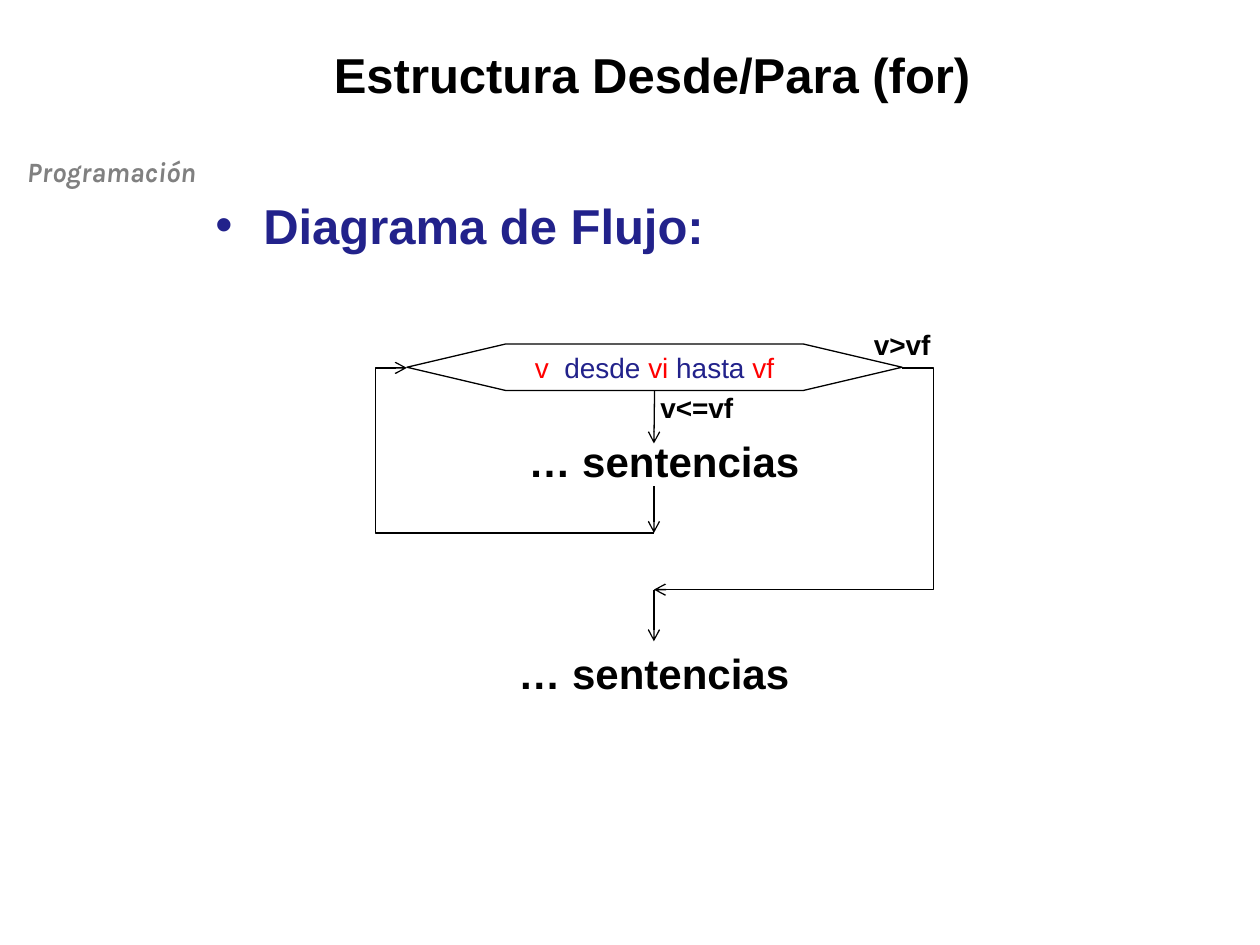
import pptx
import pptx.util
import pptx.dml.color
import pptx.enum.shapes
import pptx.enum.text
import pptx.oxml
import pptx.oxml.ns

Inches, Pt = pptx.util.Inches, pptx.util.Pt
Color = pptx.dml.color.RGBColor
Align = pptx.enum.text.PP_ALIGN
Anchor = pptx.enum.text.MSO_ANCHOR
Link = pptx.enum.shapes.MSO_CONNECTOR

BLACK = Color(0, 0, 0)
GRAY = Color(0x80, 0x80, 0x80)
NAVY = Color(0x22, 0x22, 0x8B)
RED = Color(0xFF, 0, 0)

# Flow chart lines: the axis, and the heights where the steps meet
AXIS = 5.19
LEFT, RIGHT = 3.23, 7.16
TOP, MID, BASE = 2.73, 2.92, 3.1
BACK, EXIT = 4.23, 4.68
SIDE = 0.25  # how far each loop reaches past the hexagon

TITLE = "Estructura Desde/Para (for)"
HEAD = "Diagrama de Flujo:"
TEST = [("v", RED), ("  desde ", NAVY), ("vi", RED), (" hasta ", NAVY), ("vf", RED)]
STEP = "… sentencias"
# text, left, top, width, height, format
NOTES = [
    ("Programación", 0, 1.18, 1.77, 0.37,
     dict(size=16, font="Karla", color=GRAY, italic=True)),
    (STEP, 4.09, 3.41, 2.36, 0.5, dict(size=24)),
    ("v<=vf", 5.04, 3.05, 0.98, 0.37, dict(size=16)),
    ("v>vf", 6.67, 2.55, 0.98, 0.37, dict(size=16)),
]


def write(shape, text, size=16, font="Arial", color=BLACK, bold=True,
          italic=False, align=Align.CENTER, anchor=Anchor.TOP):
    """Fill a shape with text, given as a string or as (text, color) pairs."""
    frame = shape.text_frame
    frame.word_wrap = True
    frame.auto_size = pptx.enum.text.MSO_AUTO_SIZE.NONE
    frame.vertical_anchor = anchor
    para = frame.paragraphs[0]
    para.alignment = align
    para.space_before = Pt(0)
    for part, tint in [(text, color)] if isinstance(text, str) else text:
        run = para.add_run()
        run.text = part
        run.font.name, run.font.size = font, Pt(size)
        run.font.bold, run.font.italic = bold, italic
        run.font.color.rgb = tint
    return para


def place(shape, *box):
    shape.left, shape.top, shape.width, shape.height = map(Inches, box)


def note(text, *box, **form):
    shape = slide.shapes.add_textbox(*map(Inches, box))
    write(shape, text, **form)
    return shape


def arrow(start, end, bend=None):
    """Draw an arrow; bend is the share of the width where an elbow turns."""
    kind = Link.STRAIGHT if bend is None else Link.ELBOW
    line = slide.shapes.add_connector(kind, *map(Inches, start + end))
    line.line.color.rgb = BLACK
    line.line.width = Pt(0.75)
    ns = pptx.oxml.ns.nsdecls("a")
    line.line._get_or_add_ln().append(
        pptx.oxml.parse_xml(f'<a:tailEnd {ns} type="arrow"/>'))
    props = line._element.spPr
    props.append(pptx.oxml.parse_xml(f"<a:effectLst {ns}/>"))
    if bend is not None:
        guides = props.find(pptx.oxml.ns.qn("a:prstGeom")).get_or_add_avLst()
        guides.append(pptx.oxml.parse_xml(
            f'<a:gd {ns} name="adj1" fmla="val {round(bend * 100000)}"/>'))
    return line


deck = pptx.Presentation()
deck.slide_width, deck.slide_height = Inches(10), Inches(7.5)
slide = deck.slides.add_slide(deck.slide_layouts[1])

title, body = slide.placeholders
place(title, 0.5, 0.3, 9.35, 1.25)
write(title, TITLE, size=28)
place(body, 1.61, 1.5, 5.34, 0.71)
para = write(body, HEAD, size=28, color=NAVY, align=Align.LEFT)
props = para._p.get_or_add_pPr()
props.set("marL", str(Inches(0.38)))
props.set("indent", str(-Inches(0.38)))

test = slide.shapes.add_shape(
    pptx.enum.shapes.MSO_SHAPE.FLOWCHART_PREPARATION,
    *map(Inches, (LEFT, TOP, RIGHT - LEFT, BASE - TOP)))
test.shadow.inherit = False
test.fill.background()
test.line.color.rgb = BLACK
test.line.width = Pt(0.75)
write(test, TEST, bold=False, anchor=Anchor.MIDDLE)

for text, *box, form in NOTES:
    note(text, *box, **form)
last = note(STEP, AXIS - 1.18, 5.09, 2.36, 0.5, size=24)

arrow((AXIS, BASE), (AXIS, 3.52)).begin_connect(test, 2)
arrow((AXIS, 3.86), (AXIS, BACK))
arrow((AXIS, EXIT), (AXIS, 5.09)).end_connect(last, 0)
arrow((AXIS, BACK), (LEFT, MID), bend=1 + SIDE / (AXIS - LEFT))
arrow((RIGHT, MID), (AXIS, EXIT), bend=-SIDE / (RIGHT - AXIS))

deck.save("out.pptx")
